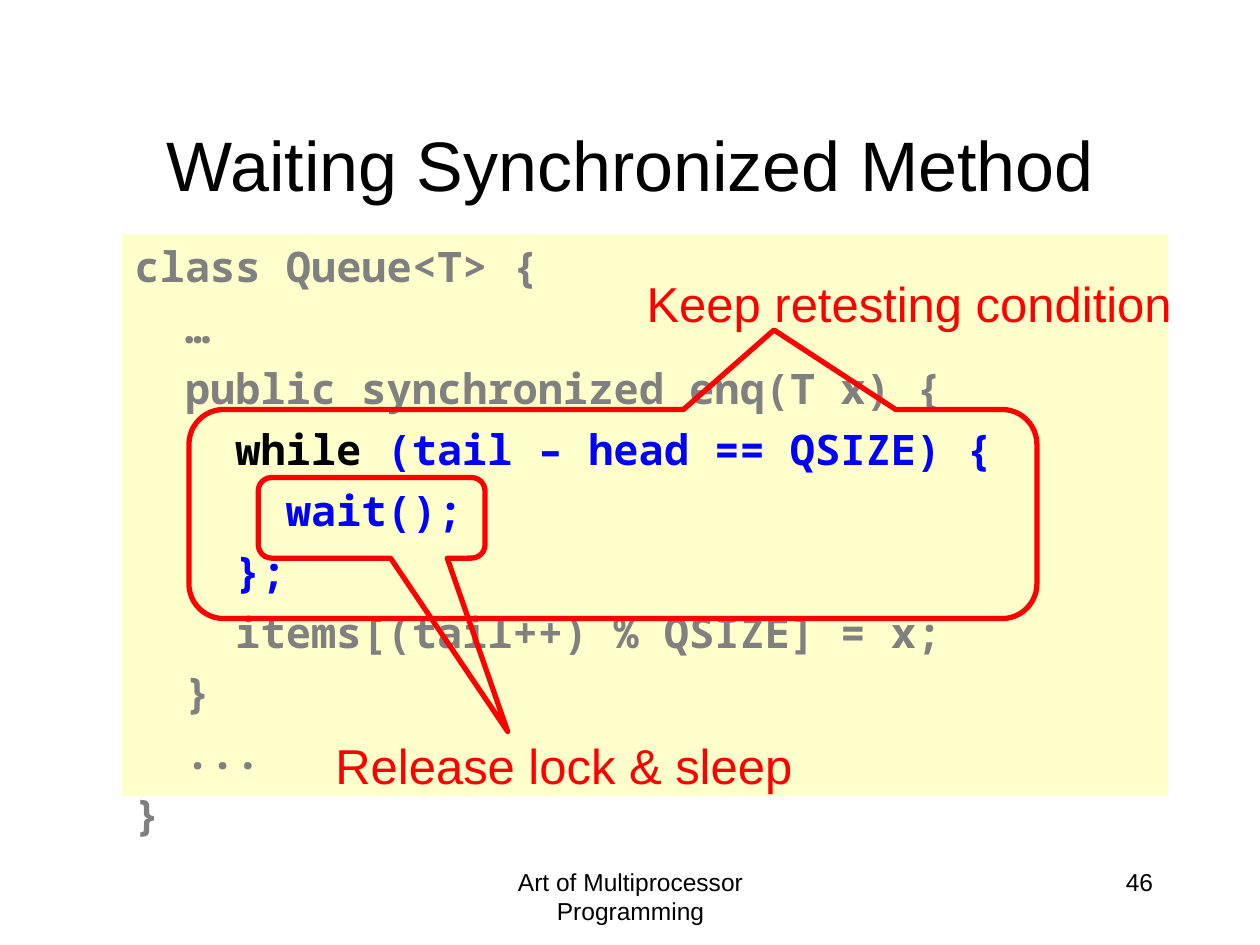
from pptx import Presentation
from pptx.dml.color import RGBColor
from pptx.enum import shapes, text
from pptx.util import Inches, Pt

COLORS = {
    "ink": "000000",
    "panel": "FFFFCC",
    "muted": "808080",
    "focus": "0000FF",
    "callout": "FF0000",
}
BODY_FONT = "Arial"
CODE_FONT = "Noto Sans Mono"

# Each code line is a list of (words, colour) pieces.
CODE = [
    [("class Queue<T> {", "muted")],
    [("  …", "muted")],
    [("  public synchronized enq(T x) {", "muted")],
    [("    ", "focus"), ("while", "ink"), (" (tail – head == QSIZE) {", "focus")],
    [("      wait();", "focus")],
    [("    };", "focus")],
    [("    items[(tail++) % QSIZE] = x;", "muted")],
    [("  }", "muted")],
    [("  ...", "muted")],
    [("}", "muted")],
]


def rgb(name):
    return RGBColor.from_string(COLORS[name])


def style(font, family, size, color, bold=False):
    font.name = family
    font.size = Pt(size)
    font.bold = bold
    font.color.rgb = rgb(color)


def add_label(slide, box, words, size, color="ink",
              align=text.PP_ALIGN.CENTER, anchor=text.MSO_ANCHOR.TOP):
    label = slide.shapes.add_textbox(*map(Inches, box))
    frame = label.text_frame
    frame.word_wrap = True
    frame.vertical_anchor = anchor
    frame.text = words
    line = frame.paragraphs[0]
    line.alignment = align
    style(line.runs[0].font, BODY_FONT, size, color)


def add_code_panel(slide, box, code):
    panel = slide.shapes.add_shape(shapes.MSO_SHAPE.RECTANGLE, *map(Inches, box))
    panel.shadow.inherit = False
    panel.fill.solid()
    panel.fill.fore_color.rgb = rgb("panel")
    panel.line.fill.background()
    frame = panel.text_frame
    frame.word_wrap = True
    frame.vertical_anchor = text.MSO_ANCHOR.TOP
    for number, pieces in enumerate(code):
        line = frame.add_paragraph() if number else frame.paragraphs[0]
        line.alignment = text.PP_ALIGN.LEFT
        line.space_before = Pt(6 if number else 0)
        for words, color in pieces:
            run = line.add_run()
            run.text = words
            style(run.font, CODE_FONT, 24, color, bold=True)


def add_callout(slide, box, tip_x, tip_y):
    """Outline a code region; the tip is relative to the region's centre and size."""
    callout = slide.shapes.add_shape(
        shapes.MSO_SHAPE.ROUNDED_RECTANGULAR_CALLOUT, *map(Inches, box))
    callout.shadow.inherit = False
    callout.adjustments[0] = tip_x
    callout.adjustments[1] = tip_y
    callout.fill.background()
    callout.line.color.rgb = rgb("callout")
    callout.line.width = Pt(3)


def main():
    deck = Presentation()
    deck.slide_width, deck.slide_height = Inches(10), Inches(7.5)
    slide = deck.slides.add_slide(deck.slide_layouts[6])

    add_label(slide, (3.42, 6.83, 3.17, 0.5), "Art of Multiprocessor Programming", 14)
    add_label(slide, (7.17, 6.83, 2.08, 0.5), "46", 14, align=text.PP_ALIGN.RIGHT)
    add_code_panel(slide, (0.97, 1.86, 8.3, 4.46), CODE)
    add_label(slide, (0.75, 0.67, 8.5, 1.25), "Waiting Synchronized Method", 40,
              anchor=text.MSO_ANCHOR.MIDDLE)

    add_callout(slide, (1.5, 3.25, 6.73, 1.66), 0.19, -0.88)
    add_label(slide, (4.68, 2.12, 5.07, 0.57), "Keep retesting condition", 28, "callout")
    add_callout(slide, (2.05, 3.79, 1.8, 0.64), 0.6, 2.65)
    add_label(slide, (1.94, 5.79, 5.07, 0.57), "Release lock & sleep", 28, "callout")

    deck.save("out.pptx")


if __name__ == "__main__":
    main()
